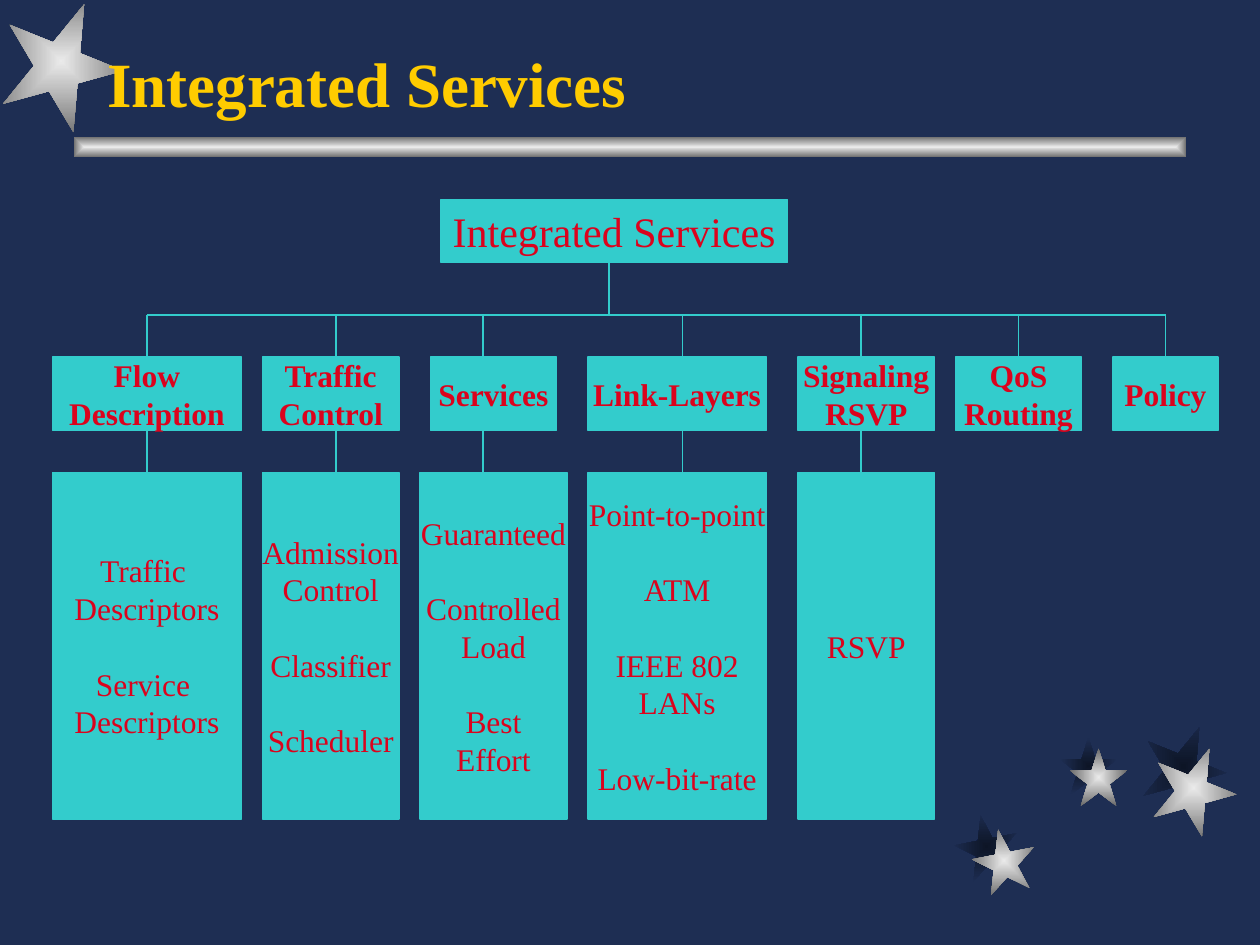
from lxml import etree
from pptx import Presentation
from pptx.dml.color import RGBColor
from pptx.enum.shapes import MSO_CONNECTOR, MSO_SHAPE
from pptx.enum.text import MSO_ANCHOR, MSO_AUTO_SIZE, PP_ALIGN
from pptx.oxml.ns import qn
from pptx.util import Pt

STAR, RECTANGLE = MSO_SHAPE.STAR_5_POINT, MSO_SHAPE.RECTANGLE
STRAIGHT = MSO_CONNECTOR.STRAIGHT
MIDDLE, BOTTOM = MSO_ANCHOR.MIDDLE, MSO_ANCHOR.BOTTOM
LEFT, CENTER = PP_ALIGN.LEFT, PP_ALIGN.CENTER
NO_AUTOFIT = MSO_AUTO_SIZE.NONE

FONT = "Times New Roman"
NAVY, SHADE, SILVER, GRAY = "1E2E53", "0D1526", "EAEAEA", "6B6B6B"
YELLOW, TEAL, RED = "FFCC00", "33CCCC", "DB031D"
LINE_GAP = 21.5

# Heading: left, width, stem x, heading lines
HEADINGS = [
    (30, 108, 84, ["Flow", "Description"]),
    (150, 78, 192, ["Traffic", "Control"]),
    (246, 72, 276, ["Services"]),
    (336, 102, 390, ["Link-Layers"]),
    (456, 78, 492, ["Signaling", "RSVP"]),
    (546, 72, 582, ["QoS", "Routing"]),
    (636, 60, 666, ["Policy"]),
]
# Details under the first headings: left, width, items made of lines
DETAILS = [
    (30, 108, [["Traffic ", "Descriptors"], ["Service ", "Descriptors"]]),
    (150, 78, [["Admission", "Control"], ["Classifier"], ["Scheduler"]]),
    (240, 84, [["Guaranteed"], ["Controlled", "Load"], ["Best", "Effort"]]),
    (336, 102, [["Point-to-point"], ["ATM"], ["IEEE 802", "LANs"], ["Low-bit-rate"]]),
    (456, 78, [["RSVP"]]),
]
# Stars: left, top, size, rotation
SHADOW_STARS = [(545.8, 465.8, 36, 349), (605.5, 421.2, 33, 0), (652.3, 414, 48, 22)]
SILVER_STARS = [(555.8, 473.8, 36, 349), (611.3, 427.7, 33, 0), (658.1, 426.2, 48, 22)]


def color(hex_string):
    return RGBColor.from_string(hex_string)


def add_glow_shape(shapes, kind, box, inner, outer, rotation=0):
    """Add a borderless shape whose fill runs from its centre to its edges."""
    shape = shapes.add_shape(kind, *map(Pt, box))
    shape.shadow.inherit = False
    shape.rotation = rotation
    shape.line.fill.background()
    shape.fill.gradient()
    for stop, hex_string in zip(shape.fill.gradient_stops, (inner, outer)):
        stop.color.rgb = color(hex_string)
    gradient = shape.fill._xPr.find(qn("a:gradFill"))
    gradient.remove(gradient.find(qn("a:lin")))
    shading = etree.SubElement(gradient, qn("a:path"), path="rect")
    etree.SubElement(shading, qn("a:fillToRect"), l="50000", t="50000", r="50000", b="50000")


def add_stars(page):
    shapes = page.shapes.add_group_shape().shapes
    for stars, inner, outer in ((SHADOW_STARS, SHADE, NAVY), (SILVER_STARS, SILVER, GRAY)):
        for left, top, size, rotation in stars:
            add_glow_shape(shapes, STAR, (left, top, size, size), inner, outer, rotation)


def format_para(para, size, hex_string, bold, alignment):
    para.alignment = alignment
    for span in para.runs:
        span.font.name = FONT
        span.font.size = Pt(size)
        span.font.bold = bold
        span.font.color.rgb = color(hex_string)


def add_title(page, box):
    title = page.shapes.title
    title.left, title.top, title.width, title.height = map(Pt, box)
    frame = title.text_frame
    frame.text = "Integrated Services"
    frame.auto_size = NO_AUTOFIT
    frame.vertical_anchor = BOTTOM
    format_para(frame.paragraphs[0], 36, YELLOW, True, LEFT)


def add_box(shapes, box, items, size=18, bold=False):
    """Add a teal box; items are lists of lines, set apart by a gap."""
    shape = shapes.add_shape(RECTANGLE, *map(Pt, box))
    shape.shadow.inherit = False
    shape.fill.solid()
    shape.fill.fore_color.rgb = color(TEAL)
    shape.line.color.rgb = color(TEAL)
    shape.line.width = Pt(0.75)
    frame = shape.text_frame
    frame.word_wrap = False
    frame.vertical_anchor = MIDDLE
    frame.text = "\n".join(line for item in items for line in item)
    paras = iter(frame.paragraphs)
    for index, item in enumerate(items):
        for position in range(len(item)):
            para = next(paras)
            format_para(para, size, RED, bold, CENTER)
            if index and position == 0:
                para.space_before = Pt(LINE_GAP)


def add_line(shapes, x1, y1, x2, y2):
    line = shapes.add_connector(STRAIGHT, Pt(x1), Pt(y1), Pt(x2), Pt(y2))
    line.line.color.rgb = color(TEAL)
    line.line.width = Pt(0.75)
    etree.SubElement(line._element.spPr, qn("a:effectLst"))


def add_tree(page, top):
    shapes = page.shapes.add_group_shape().shapes
    rail, heading_top, detail_top = top + 66, top + 90, top + 156
    heading_height = 42
    # Root, its stem and the rail
    add_box(shapes, (252, top, 198, 36), [["Integrated Services"]], size=24)
    add_line(shapes, 348, top + 36, 348, rail)
    add_line(shapes, HEADINGS[0][2], rail, HEADINGS[-1][2], rail)
    # Headings hanging from the rail
    for left, width, stem, lines in HEADINGS:
        add_line(shapes, stem, rail, stem, heading_top)
        add_box(shapes, (left, heading_top, width, heading_height), [lines], bold=True)
    # Details below the headings
    for (left, width, items), heading in zip(DETAILS, HEADINGS):
        stem = heading[2]
        add_line(shapes, stem, heading_top + heading_height, stem, detail_top)
        add_box(shapes, (left, detail_top, width, 198), items)


def main():
    deck = Presentation()
    deck.slide_width, deck.slide_height = Pt(720), Pt(540)
    page = deck.slides.add_slide(deck.slide_layouts.get_by_name("Title Only"))
    page.background.fill.solid()
    page.background.fill.fore_color.rgb = color(NAVY)
    # Decoration
    add_stars(page)
    add_glow_shape(page.shapes, RECTANGLE, (42, 78, 636, 12), SILVER, GRAY)
    add_glow_shape(page.shapes, STAR, (0, 0, 70, 70), SILVER, GRAY, rotation=22)
    # Content
    add_title(page, (54, 18, 612, 54))
    add_tree(page, 114)
    # Keep the title in front of the corner star
    tree = page.shapes._spTree
    tree.append(page.shapes.title._element)
    deck.save("out.pptx")


if __name__ == "__main__":
    main()
